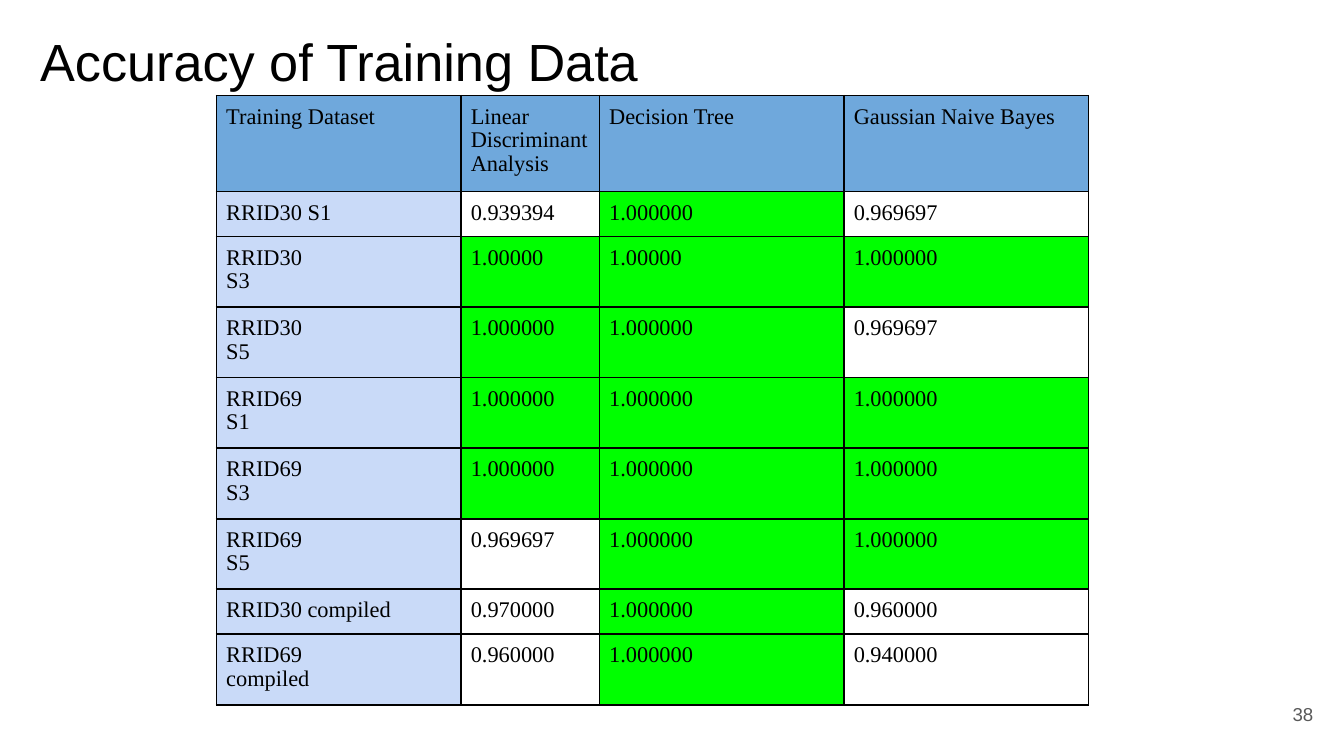
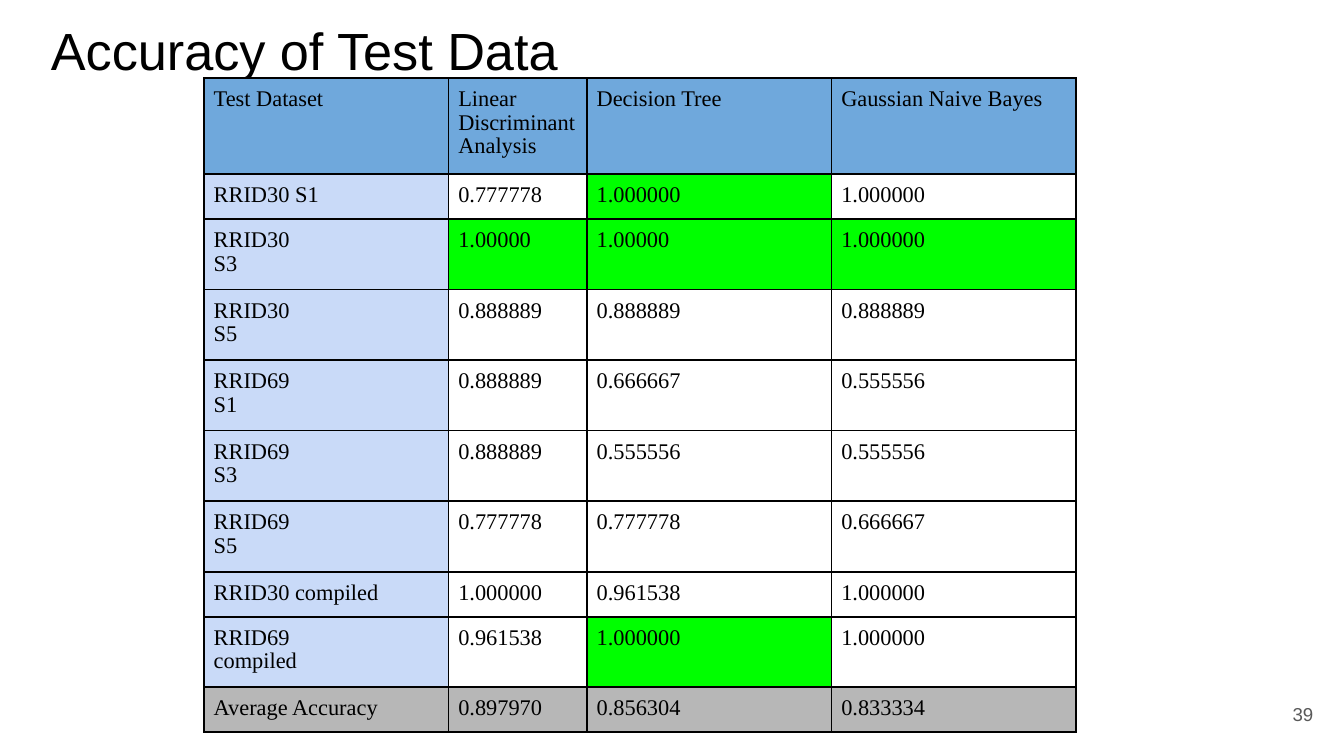
import pptx
import pptx.util
import pptx.dml.color
import pptx.enum.text
from lxml import etree

Pt = pptx.util.Pt
RGB = pptx.dml.color.RGBColor
ALIGN = pptx.enum.text.PP_ALIGN
ANCHOR = pptx.enum.text.MSO_ANCHOR

BLACK = RGB(0x00, 0x00, 0x00)
GREY = RGB(0x59, 0x59, 0x59)
BLUE = RGB(0x6F, 0xA8, 0xDC)
PALE = RGB(0xC9, 0xDA, 0xF8)
GREEN = RGB(0x00, 0xFF, 0x00)
SILVER = RGB(0xB7, 0xB7, 0xB7)

NS = "http://schemas.openxmlformats.org/drawingml/2006/main"
SIDES = ("left", "right", "top", "bottom")
TITLE = {"name": "Arial", "size": Pt(28)}
NUMBER = {"name": "Arial", "size": Pt(10)}
BODY = {"name": "Times New Roman", "size": Pt(12)}
COLS = (131.04, 74.16, 131.04, 131.04)
ROW = 0.72
SIDE = 236.16

MODELS = ("Linear Discriminant Analysis", "Decision Tree", "Gaussian Naive Bayes")
SETS = ("RRID30 S1", "RRID30\nS3", "RRID30\nS5", "RRID69\nS1", "RRID69\nS3",
        "RRID69\nS5", "RRID30 compiled", "RRID69\ncompiled")
BEST = "*"

TRAIN = (
    "0.939394 1.000000* 0.969697",
    "1.00000* 1.00000* 1.000000*",
    "1.000000* 1.000000* 0.969697",
    "1.000000* 1.000000* 1.000000*",
    "1.000000* 1.000000* 1.000000*",
    "0.969697 1.000000* 1.000000*",
    "0.970000 1.000000* 0.960000",
    "0.960000 1.000000* 0.940000",
)
TEST = (
    "0.777778 1.000000* 1.000000",
    "1.00000* 1.00000* 1.000000*",
    "0.888889 0.888889 0.888889",
    "0.888889 0.666667 0.555556",
    "0.888889 0.555556 0.555556",
    "0.777778 0.777778 0.666667",
    "1.000000 0.961538 1.000000",
    "0.961538 1.000000* 1.000000",
)
MEAN = "0.897970 0.856304 0.833334"


def put(item, form):
    for key, value in form.items():
        setattr(item, key, value)


def style(para, font, color, form):
    put(para, form)
    put(para.font, font)
    para.font.color.rgb = color


def label(slide, box, text, font, color, frame, form):
    area = slide.shapes.add_textbox(*map(Pt, box)).text_frame
    put(area, {"word_wrap": True, **frame})
    area.text = text
    style(area.paragraphs[0], font, color, form)


def border(cell):
    props = cell._tc.get_or_add_tcPr()
    for side in "LRTB":
        line = etree.SubElement(props, f"{{{NS}}}ln{side}", w=str(Pt(1)))
        fill = etree.SubElement(line, f"{{{NS}}}solidFill")
        etree.SubElement(fill, f"{{{NS}}}srgbClr", val=str(BLACK))


def write(cell, text, color):
    put(cell, {f"margin_{side}": Pt(5.2) for side in SIDES})
    cell.text = text
    for para in cell.text_frame.paragraphs:
        style(para, BODY, BLACK, {"alignment": ALIGN.JUSTIFY, "line_spacing": 0.95})
    border(cell)
    if color is None:
        cell.fill.background()
    else:
        cell.fill.solid()
        cell.fill.fore_color.rgb = color


def shade(row, col, name, text):
    if row == 0:
        return BLUE
    if name not in SETS:
        return SILVER
    if col == 0:
        return PALE
    return GREEN if text.endswith(BEST) else None


def grid(slide, left, top, rows):
    frame = slide.shapes.add_table(len(rows), len(COLS), Pt(left), Pt(top), Pt(SIDE), Pt(SIDE))
    table = frame.table
    put(table, {"first_row": False, "horz_banding": False})
    for col, width in zip(table.columns, COLS):
        col.width = Pt(width)
    for row, texts in enumerate(rows):
        table.rows[row].height = Pt(ROW)
        for col, text in enumerate(texts):
            write(table.cell(row, col), text.rstrip(BEST), shade(row, col, texts[0], text))
    put(frame, {"width": Pt(SIDE), "height": Pt(SIDE)})


def page(deck, kind, number, head, spot, data, mean=None):
    slide = deck.slides.add_slide(deck.slide_layouts[6])
    label(slide, (*head, 671, 45.36), f"Accuracy of {kind} Data", TITLE, BLACK,
          {"margin_top": Pt(10)}, {"alignment": ALIGN.LEFT})
    label(slide, (667.44, 367.2, 43.2, 31), number, NUMBER, GREY,
          {f"margin_{side}": Pt(7.2) for side in SIDES} | {"vertical_anchor": ANCHOR.MIDDLE},
          {"alignment": ALIGN.RIGHT})
    rows = [(f"{kind} Dataset", *MODELS)]
    rows += [(name, *line.split()) for name, line in zip(SETS, data)]
    if mean:
        rows.append(("Average Accuracy", *mean.split()))
    grid(slide, *spot, rows)


def main():
    deck = pptx.Presentation()
    put(deck, {"slide_width": Pt(720), "slide_height": Pt(405)})
    page(deck, "Training", "38", (14.4, 5.76), (116, 51.2), TRAIN)
    page(deck, "Test", "39", (20.16, 0), (109.3, 41.8), TEST, MEAN)
    deck.save("out.pptx")


if __name__ == "__main__":
    main()
